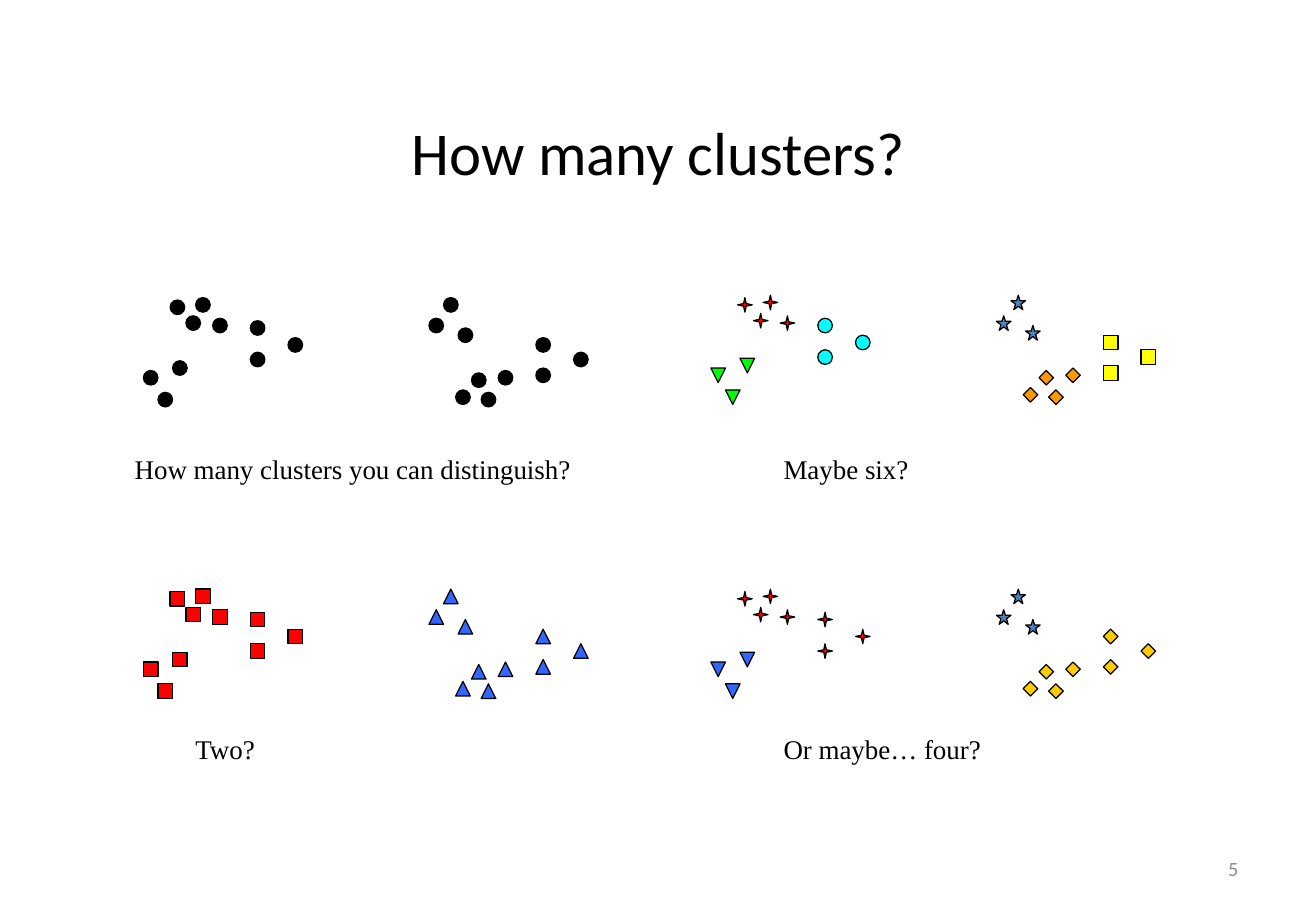
"""Build a slide comparing three ways of clustering the same points."""
from pptx import Presentation
from pptx.dml.color import RGBColor
from pptx.enum import shapes, text
from pptx.util import Inches, Pt

M = shapes.MSO_SHAPE
A = text.PP_ALIGN

TITLE = "How many clusters?"
PAGE = "5"
MARKER = 0.12

CLUSTERS = {
    "right low": [(2.92, 0.6), (2.57, 0.76), (2.78, 0.78), (2.7, 0.62)],
    "right top": [(2.59, 0.25), (2.35, 0.17), (2.47, 0)],
    "right end": [(3.23, 0.58), (3.54, 0.45), (3.23, 0.33)],
    "left top": [(0.57, 0.17), (0.22, 0.02), (0.43, 0), (0.35, 0.15)],
    "left low": [(0.24, 0.52), (0, 0.6), (0.12, 0.78)],
    "left end": [(0.88, 0.19), (1.19, 0.33), (0.88, 0.45)],
}

DOT = (M.OVAL, "000000", 0)
SQUARE = (M.RECTANGLE, "FF0000", 0)
TRIANGLE = (M.ISOSCELES_TRIANGLE, "3366FF", 0)
STAR4 = (M.STAR_4_POINT, "FF0000", 0)
STAR5 = (M.STAR_5_POINT, "4F81BD", 0)
GOLD = (M.DIAMOND, "FFCC00", 0)
ORANGE = (M.DIAMOND, "FF9900", 0)
YELLOW = (M.RECTANGLE, "FFFF00", 0)
GREEN = (M.ISOSCELES_TRIANGLE, "00FF00", 180)
CYAN = (M.OVAL, "00FFFF", 0)
BLUE = (M.FLOWCHART_EXTRACT, "3366FF", 180)

PANELS = [
    ((1.18, 2.45), [DOT] * 6,
     "How many clusters you can distinguish?", (1.01, 3.68, 3.94, 0.37)),
    ((5.85, 4.85), [GOLD, STAR5, GOLD, STAR4, BLUE, STAR4],
     "Or maybe… four?", (6.35, 5.98, 2.5, 0.37)),
    ((1.18, 4.85), [TRIANGLE] * 3 + [SQUARE] * 3,
     "Two?", (1.51, 5.98, 2.5, 0.37)),
    ((5.85, 2.43), [ORANGE, STAR5, YELLOW, STAR4, GREEN, CYAN],
     "Maybe six?", (6.35, 3.68, 2.5, 0.37)),
]


def rgb(color):
    return RGBColor.from_string(color)


def write(sp, words, size, face, color="000000", align=A.LEFT,
          anchor=text.MSO_ANCHOR.TOP):
    tf = sp.text_frame
    tf.word_wrap = True
    tf.vertical_anchor = anchor
    p = tf.paragraphs[0]
    p.alignment = align
    r = p.add_run()
    r.text = words
    for name, value in {"size": Pt(size), "name": face}.items():
        setattr(r.font, name, value)
    r.font.color.rgb = rgb(color)


def add_marker(s, x, y, style):
    kind, color, angle = style
    sp = s.shapes.add_shape(kind, *map(Inches, (x, y, MARKER, MARKER)))
    sp.shadow.inherit = False
    sp.rotation = angle
    sp.fill.solid()
    sp.fill.fore_color.rgb = rgb(color)
    sp.line.color.rgb = rgb("000000")
    sp.line.width = Pt(0.75)


def main():
    prs = Presentation()
    prs.slide_width, prs.slide_height = Inches(10.83), Inches(7.5)
    s = prs.slides.add_slide(prs.slide_layouts[5])

    title = s.shapes.title
    box = {"left": 0.54, "top": 0.72, "width": 9.75, "height": 1.05}
    for name, value in box.items():
        setattr(title, name, Inches(value))
    write(title, TITLE, 36, "Calibri", align=A.CENTER,
          anchor=text.MSO_ANCHOR.MIDDLE)

    for (left, top), styles, label, place in PANELS:
        for points, style in zip(CLUSTERS.values(), styles):
            for x, y in points:
                add_marker(s, left + x, top + y, style)
        write(s.shapes.add_textbox(*map(Inches, place)), label, 16,
              "Times New Roman")

    number = s.shapes.add_textbox(*map(Inches, (7.76, 6.95, 2.53, 0.4)))
    write(number, PAGE, 12, "Calibri", "8C8C8C", A.RIGHT,
          text.MSO_ANCHOR.MIDDLE)
    prs.save("out.pptx")


if __name__ == "__main__":
    main()
